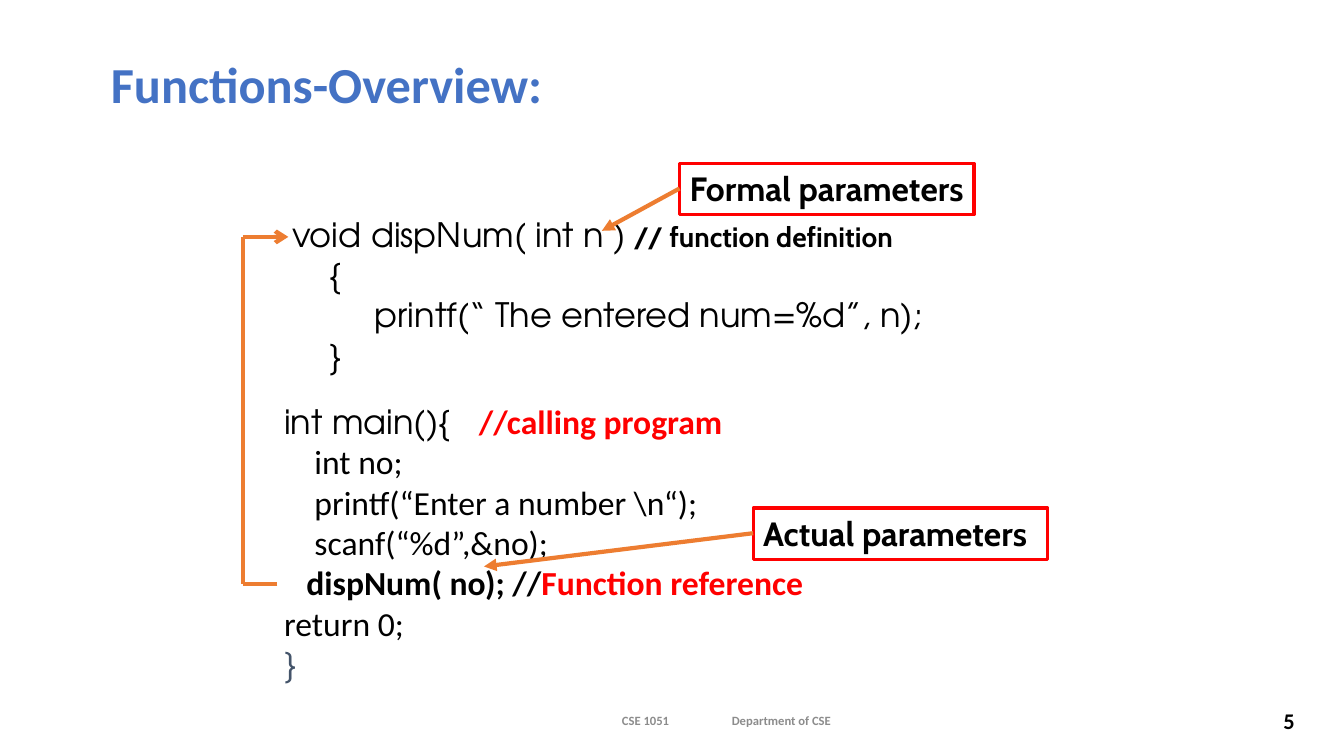
from dataclasses import dataclass

from lxml import etree
from pptx import Presentation
from pptx.dml.color import RGBColor
from pptx.enum.shapes import MSO_CONNECTOR, MSO_SHAPE
from pptx.enum.text import MSO_ANCHOR, MSO_AUTO_SIZE, PP_ALIGN
from pptx.oxml.ns import qn
from pptx.util import Pt

PX = 9144
BLACK = RGBColor(0x00, 0x00, 0x00)
RED = RGBColor(0xFF, 0x00, 0x00)
BLUE = RGBColor(0x44, 0x72, 0xC4)
ORANGE = RGBColor(0xED, 0x7D, 0x31)
GREY = RGBColor(0x8C, 0x8C, 0x8C)
SLATE = RGBColor(0x44, 0x54, 0x6A)
BODY, CODE, LABEL = "Calibri", "TeX Gyre Adventor", "Cabin"
LEFT, RIGHT = PP_ALIGN.LEFT, PP_ALIGN.RIGHT
TOP, MIDDLE = MSO_ANCHOR.TOP, MSO_ANCHOR.MIDDLE
RECT, STRAIGHT = MSO_SHAPE.RECTANGLE, MSO_CONNECTOR.STRAIGHT
NO_FIT = MSO_AUTO_SIZE.NONE


@dataclass(frozen=True)
class Box:
    left: int
    top: int
    width: int
    height: int

    def emu(self) -> list[int]:
        return [v * PX for v in (self.left, self.top, self.width, self.height)]


@dataclass(frozen=True)
class Run:
    text: str
    font: str = BODY
    size: int = 24
    color: RGBColor = BLACK
    bold: bool = False


@dataclass(frozen=True)
class Line:
    runs: tuple[Run, ...]
    indent: int = 0


@dataclass(frozen=True)
class Callout:
    text: str
    box: Box
    target: tuple[int, int]


DEFINITION = (
    Line((Run("void dispNum( int n )", CODE), Run(" ", CODE, 20),
          Run("// function definition", LABEL, 20, bold=True))),
    Line((Run("{", CODE),), 37),
    Line((Run("printf(“ The entered num=%d”, n);", CODE),), 82),
    Line((Run("}", CODE),), 37),
)
MAIN = (
    Line((Run("int main(){   ", CODE), Run("//calling program", color=RED, bold=True))),
    Line((Run("int no;"),), 30),
    Line((Run("printf(“Enter a number \\n“);"),), 30),
    Line((Run("scanf(“%d”,&no);"),), 30),
    Line((Run("dispNum( no); //", bold=True),
          Run("Function reference", color=RED, bold=True)), 22),
    Line((Run("return 0;"),)),
    Line((Run("}", CODE, color=SLATE),)),
)
CALLOUTS = (
    Callout("Formal parameters", Box(674, 162, 292, 51), (597, 229)),
    Callout("Actual parameters", Box(747, 504, 292, 51), (480, 562)),
)
CALL_ROUTE = ((275, 579), (241, 579), (241, 235), (286, 235))


def write(shape, text: str | tuple[Line, ...], *, font: str = BODY, size: int = 24,
          color: RGBColor = BLACK, bold: bool = False, align: PP_ALIGN = LEFT,
          anchor: MSO_ANCHOR = TOP) -> None:
    lines = (Line((Run(text, font, size, color, bold),)),) if isinstance(text, str) else text
    tf = shape.text_frame
    tf.word_wrap = True
    tf.auto_size = NO_FIT
    tf.vertical_anchor = anchor
    for i, line in enumerate(lines):
        p = tf.add_paragraph() if i else tf.paragraphs[0]
        p.alignment = align
        if line.indent:
            p._p.get_or_add_pPr().set("marL", str(line.indent * PX))
        for run in line.runs:
            r = p.add_run()
            r.text = run.text
            r.font.name = run.font
            r.font.size = Pt(run.size)
            r.font.bold = run.bold
            r.font.color.rgb = run.color


def add_text(s, box: Box, text: str | tuple[Line, ...], **fmt) -> None:
    write(s.shapes.add_textbox(*box.emu()), text, **fmt)


def add_line(s, start: tuple[int, int], end: tuple[int, int], head: str = "") -> None:
    c = s.shapes.add_connector(STRAIGHT, *(v * PX for v in (*start, *end)))
    c.line.color.rgb = ORANGE
    c.line.width = Pt(3)
    if head:
        etree.SubElement(c.line._get_or_add_ln(), qn("a:tailEnd"), type=head)
    etree.SubElement(c._element.spPr, qn("a:effectLst"))


def add_callout(s, callout: Callout) -> None:
    box = callout.box
    sp = s.shapes.add_shape(RECT, *box.emu())
    sp.shadow.inherit = False
    sp.fill.background()
    sp.line.color.rgb = RED
    sp.line.width = Pt(2.25)
    write(sp, callout.text, font=LABEL, bold=True)
    add_line(s, (box.left, box.top + box.height // 2), callout.target, "triangle")


def main() -> None:
    prs = Presentation()
    prs.slide_width, prs.slide_height = 1333 * PX, 750 * PX
    s = prs.slides.add_slide(prs.slide_layouts[5])

    title = s.shapes.title
    title.left, title.top, title.width, title.height = Box(100, 45, 1142, 75).emu()
    write(title, "Functions-Overview:", size=36, color=BLUE, bold=True, anchor=MIDDLE)

    add_text(s, Box(607, 695, 100, 40), "CSE 1051",
             size=9, color=GREY, bold=True, anchor=MIDDLE)
    add_text(s, Box(716, 695, 200, 40), "Department of CSE",
             size=9, color=GREY, bold=True, anchor=MIDDLE)
    add_text(s, Box(1242, 695, 52, 40), "5",
             size=16, bold=True, align=RIGHT, anchor=MIDDLE)

    last = len(CALL_ROUTE) - 2
    for i, (start, end) in enumerate(zip(CALL_ROUTE, CALL_ROUTE[1:])):
        add_line(s, start, end, "arrow" if i == last else "")
    add_text(s, Box(280, 207, 767, 172), DEFINITION)
    add_text(s, Box(272, 393, 742, 293), MAIN)
    for callout in CALLOUTS:
        add_callout(s, callout)

    prs.save("out.pptx")


if __name__ == "__main__":
    main()
